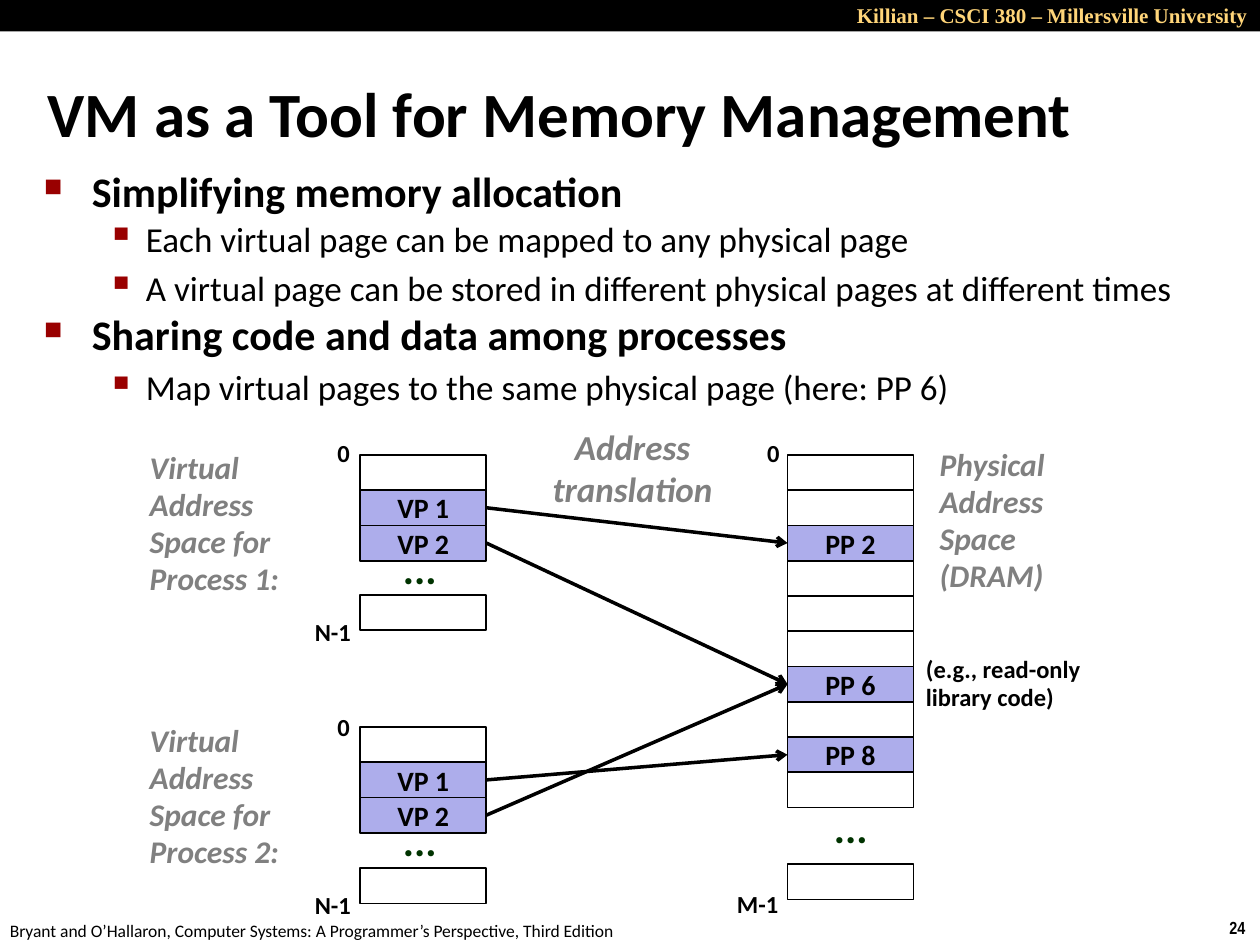
from lxml.etree import SubElement
from pptx import Presentation
from pptx.dml.color import RGBColor
from pptx.enum.shapes import MSO_CONNECTOR, MSO_SHAPE
from pptx.enum.text import MSO_ANCHOR, PP_ALIGN
from pptx.oxml.ns import qn
from pptx.util import Inches, Pt

BLACK, GRAY, GREEN = "000000", "808080", "003300"
PAGE_FILL, BULLET_COLOR, HEADER_COLOR = "ADADEB", "990000", "FFD579"
PAGE_WIDTH, PAGE_HEIGHT = 1, 0.28

HEADER = "Killian – CSCI 380 – Millersville University"
FOOTER = "Bryant and O’Hallaron, Computer Systems: A Programmer’s Perspective, Third Edition"
TITLE = "VM as a Tool for Memory Management"
# text, level, line spacing
BULLETS = [
    ("Simplifying memory allocation", 0, 0.83),
    ("Each virtual page can be mapped to any physical page", 1, 0.88),
    ("A virtual page can be stored in different physical pages at different times", 1, 1),
    ("Sharing code and data among processes", 0, 0.83),
    ("Map virtual pages to the same physical page (here: PP 6)", 1, 1),
]
LEVELS = [
    dict(size=24, bold=True, bullet="■", bullet_size=60, left=0.38, hanging=0.38),
    dict(size=20, bold=False, bullet="▪", bullet_size=110, left=0.81, hanging=0.31),
]
# name: left, top, pages, top of the last page, place of the dots
MEMORIES = {
    "process 1": (2.86, 3.61, ["", "VP 1", "VP 2"], 4.72, (3.1, 4.31)),
    "process 2": (2.86, 5.77, ["", "VP 1", "VP 2"], 6.89, (3.1, 6.47)),
    "physical": (6.25, 3.61, ["", "", "PP 2", "", "", "", "PP 6", "", "PP 8", ""],
                 6.86, (6.52, 6.36)),
}
MAPPINGS = [
    ("process 1", "VP 1", "PP 2"),
    ("process 1", "VP 2", "PP 6"),
    ("process 2", "VP 2", "PP 6"),
    ("process 2", "VP 1", "PP 8"),
]
SPACE_NAMES = [
    (["Virtual Address Space for Process 1:"], (1.09, 3.52, 1.5, 1.28)),
    (["Virtual Address Space for Process 2:"], (1.09, 5.69, 1.5, 1.28)),
    (["Physical", "Address", "Space (DRAM)"], (7.36, 3.5, 1.17, 1.29)),
]
ADDRESS_LABELS = [
    (["0"], (2.58, 3.44, 0.31, 0.33)),
    (["N-1"], (2.4, 4.86, 0.49, 0.33)),
    (["0"], (2.58, 5.61, 0.31, 0.33)),
    (["N-1"], (2.4, 7.03, 0.49, 0.33)),
    (["0"], (5.99, 3.44, 0.31, 0.33)),
    (["M-1"], (5.75, 7.02, 0.53, 0.33)),
    (["(e.g., read-only", "library code)"], (7.25, 5.15, 1.59, 0.56)),
]


def rgb(color):
    return RGBColor.from_string(color)


def write(paragraph, text, size, color=BLACK, font="Calibri", bold=False, italic=False,
          align=None, spacing=None):
    paragraph.alignment = align
    if spacing:
        paragraph.line_spacing = spacing
    run = paragraph.add_run()
    run.text = text
    run.font.name, run.font.size = font, Pt(size)
    run.font.bold, run.font.italic = bold, italic
    run.font.color.rgb = rgb(color)


def add_text_frame(slide, box, wrap=True, anchor=MSO_ANCHOR.TOP):
    frame = slide.shapes.add_textbox(*map(Inches, box)).text_frame
    frame.word_wrap, frame.vertical_anchor = wrap, anchor
    return frame


def add_paragraph(frame, index):
    return frame.add_paragraph() if index else frame.paragraphs[0]


def add_text(slide, lines, box, wrap=True, anchor=MSO_ANCHOR.TOP, **text_format):
    frame = add_text_frame(slide, box, wrap, anchor)
    for index, line in enumerate(lines):
        write(add_paragraph(frame, index), line, **text_format)


def add_bullets(slide, box):
    frame = add_text_frame(slide, box)
    for index, (text, level, spacing) in enumerate(BULLETS):
        style = LEVELS[level]
        paragraph = add_paragraph(frame, index)
        paragraph.level = level
        if index:
            paragraph.space_before = Pt(0.2 * style["size"])
        paragraph.line_spacing = spacing
        properties = paragraph._p.get_or_add_pPr()
        properties.set("marL", str(Inches(style["left"])))
        properties.set("indent", str(-Inches(style["hanging"])))
        color = SubElement(properties, qn("a:buClr"))
        SubElement(color, qn("a:srgbClr"), val=BULLET_COLOR)
        SubElement(properties, qn("a:buSzPct"), val=str(style["bullet_size"] * 1000))
        SubElement(properties, qn("a:buChar"), char=style["bullet"])
        write(paragraph, text, style["size"], bold=style["bold"])


def add_rectangle(slide, box, fill=None, line=None):
    rectangle = slide.shapes.add_shape(MSO_SHAPE.RECTANGLE, *map(Inches, box))
    rectangle.shadow.inherit = False
    if fill:
        rectangle.fill.solid()
        rectangle.fill.fore_color.rgb = rgb(fill)
    else:
        rectangle.fill.background()
    if line:
        rectangle.line.color.rgb = rgb(line)
        rectangle.line.width = Pt(1)
    else:
        rectangle.line.fill.background()
    return rectangle


def add_memory(slide, left, top, names, last_top, dots):
    """Draw a column of pages and return the named ones."""
    tops = [top + index * PAGE_HEIGHT for index in range(len(names))]
    pages = {}
    for name, page_top in zip(names + [""], tops + [last_top]):
        page = add_rectangle(slide, (left, page_top, PAGE_WIDTH, PAGE_HEIGHT),
                             PAGE_FILL if name else None, BLACK)
        if name:
            frame = page.text_frame
            frame.vertical_anchor = MSO_ANCHOR.MIDDLE
            write(frame.paragraphs[0], name, 16, bold=True, align=PP_ALIGN.CENTER)
            pages[name] = page
    add_text(slide, ["..."], (*dots, 0.47, 0.45), wrap=False, size=24, color=GREEN,
             bold=True, spacing=0.88)
    return pages


def add_arrow(slide, start, end):
    arrow = slide.shapes.add_connector(MSO_CONNECTOR.STRAIGHT, 0, 0, 0, 0)
    arrow.begin_connect(start, 3)
    arrow.end_connect(end, 1)
    arrow.line.color.rgb = rgb(BLACK)
    arrow.line.width = Pt(2)
    SubElement(arrow.line._get_or_add_ln(), qn("a:tailEnd"), type="arrow")
    SubElement(arrow._element.spPr, qn("a:effectLst"))


def main():
    presentation = Presentation()
    presentation.slide_width, presentation.slide_height = Inches(10), Inches(7.5)
    slide = presentation.slides.add_slide(presentation.slide_layouts[6])

    add_text(slide, ["24"], (9.66, 7.23, 0.34, 0.27), wrap=False, size=10,
             font="Arial Narrow", bold=True)
    add_text(slide, [FOOTER], (-0.02, 7.25, 5.08, 0.27), wrap=False, size=10)
    add_rectangle(slide, (0, 0, 10, 0.25), BLACK)
    add_text(slide, [HEADER], (6.69, -0.03, 3.31, 0.3), size=12, color=HEADER_COLOR,
             font="Times New Roman", bold=True, align=PP_ALIGN.RIGHT)
    add_text(slide, [TITLE], (0.28, 0.58, 9.42, 0.63), anchor=MSO_ANCHOR.MIDDLE,
             size=36, bold=True)
    add_bullets(slide, (0.25, 1.33, 9.58, 2.08))

    for lines, box in SPACE_NAMES:
        add_text(slide, lines, box, size=18, color=GRAY, bold=True, italic=True, spacing=0.98)
    for lines, box in ADDRESS_LABELS:
        add_text(slide, lines, box, wrap=False, size=14, bold=True, spacing=0.98)
    memories = {name: add_memory(slide, *memory) for name, memory in MEMORIES.items()}
    for process, virtual_page, physical_page in MAPPINGS:
        add_arrow(slide, memories[process][virtual_page], memories["physical"][physical_page])
    add_text(slide, ["Address", "translation"], (4.28, 3.33, 1.48, 0.77), wrap=False,
             size=20, color=GRAY, bold=True, italic=True, align=PP_ALIGN.CENTER)

    presentation.save("out.pptx")


if __name__ == "__main__":
    main()
